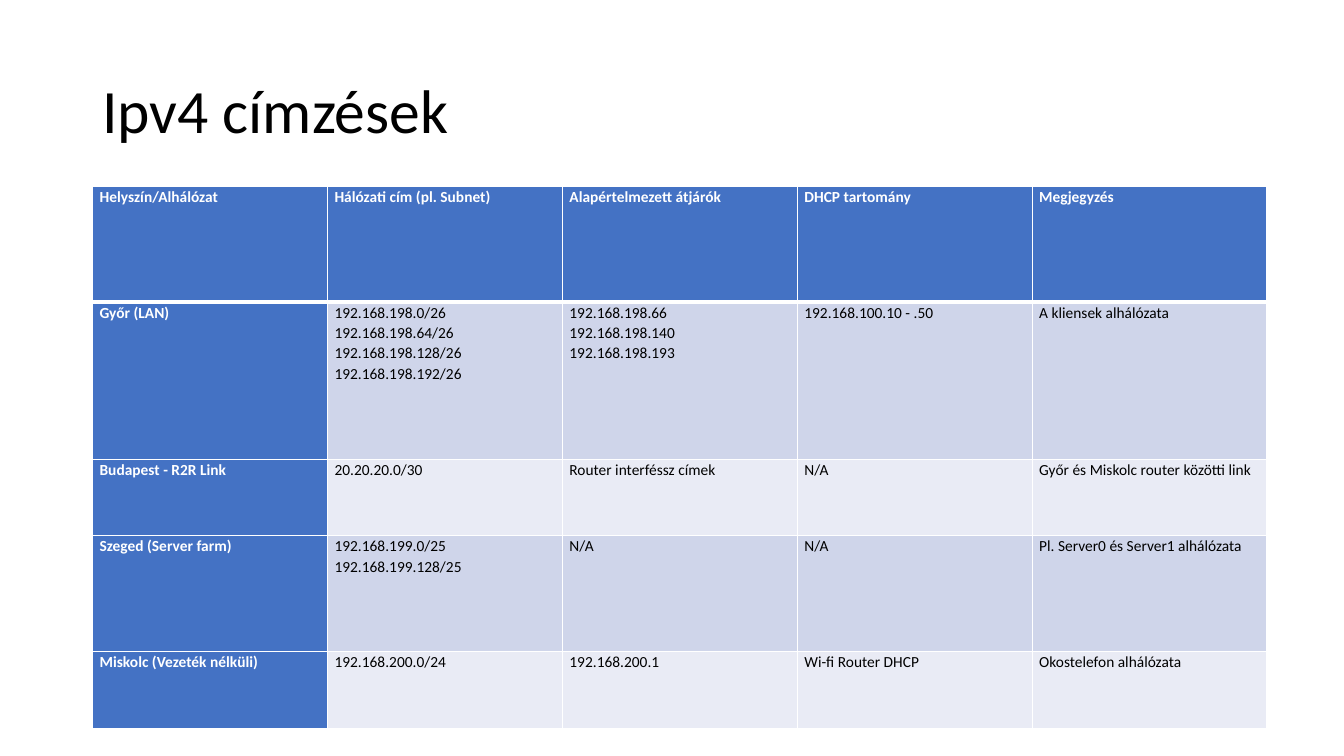
from dataclasses import dataclass

import lxml.etree
import pptx
import pptx.dml.color
import pptx.enum.text
import pptx.oxml.ns
import pptx.table
import pptx.text.text
import pptx.util

Cm = pptx.util.Cm
Pt = pptx.util.Pt
RGBColor = pptx.dml.color.RGBColor

WHITE = RGBColor(0xFF, 0xFF, 0xFF)
BLACK = RGBColor(0x00, 0x00, 0x00)
BLUE = RGBColor(0x44, 0x72, 0xC4)
BANDS = (RGBColor(0xCF, 0xD5, 0xEA), RGBColor(0xE9, 0xEB, 0xF5))

FONT = "Calibri"
LEFT = Cm(2.33)
COLUMN_WIDTH = Cm(5.92)
THIN, THICK = Pt(1), Pt(3)
CELL_FORMAT = {
    "margin_left": Cm(0.18),
    "margin_right": Cm(0.18),
    "margin_top": Cm(0),
    "margin_bottom": Cm(0),
    "vertical_anchor": pptx.enum.text.MSO_ANCHOR.TOP,
}


@dataclass
class SubnetRow:
    height: float
    texts: tuple[str, ...]


ROWS = (
    SubnetRow(2.92, ("Helyszín/Alhálózat", "Hálózati cím (pl. Subnet)",
                     "Alapértelmezett átjárók", "DHCP tartomány", "Megjegyzés")),
    SubnetRow(3.96, ("Győr (LAN)",
                     "192.168.198.0/26\n192.168.198.64/26\n192.168.198.128/26\n192.168.198.192/26",
                     "192.168.198.66\n192.168.198.140\n192.168.198.193",
                     "192.168.100.10 - .50", "A kliensek alhálózata")),
    SubnetRow(1.93, ("Budapest - R2R Link", "20.20.20.0/30", "Router interféssz címek",
                     "N/A", "Győr és Miskolc router közötti link")),
    SubnetRow(2.92, ("Szeged (Server farm)", "192.168.199.0/25\n192.168.199.128/25",
                     "N/A", "N/A", "Pl. Server0 és Server1 alhálózata")),
    SubnetRow(1.93, ("Miskolc (Vezeték nélküli)", "192.168.200.0/24", "192.168.200.1",
                     "Wi-fi Router DHCP", "Okostelefon alhálózata")),
)


def write_text(frame: pptx.text.text.TextFrame, text: str, size: float,
               color: RGBColor, bold: bool, spacing: float) -> None:
    frame.text = text
    font_format = {"name": FONT, "size": Pt(size), "bold": bold}
    for para in frame.paragraphs:
        para.line_spacing = spacing
        for span in para.runs:
            for name, value in font_format.items():
                setattr(span.font, name, value)
            span.font.color.rgb = color


def add_borders(cell: pptx.table._Cell, widths: dict[str, int]) -> None:
    """Draw white borders; call before filling, as the schema puts lines first."""
    properties = cell._tc.get_or_add_tcPr()
    qn = pptx.oxml.ns.qn
    for side, width in widths.items():
        line = lxml.etree.SubElement(properties, qn(f"a:ln{side}"), w=str(int(width)))
        fill = lxml.etree.SubElement(line, qn("a:solidFill"))
        lxml.etree.SubElement(fill, qn("a:srgbClr"), val=str(WHITE))


def add_title(page: pptx.slide.Slide, text: str) -> None:
    box = page.shapes.add_textbox(LEFT, Cm(1.01), Cm(29.21), Cm(3.68))
    box.text_frame.word_wrap = True
    box.text_frame.vertical_anchor = pptx.enum.text.MSO_ANCHOR.MIDDLE
    write_text(box.text_frame, text, 44, BLACK, False, 0.9)


def add_subnet_table(page: pptx.slide.Slide, rows: tuple[SubnetRow, ...]) -> None:
    column_count = len(rows[0].texts)
    height = Cm(sum(row.height for row in rows))
    table = page.shapes.add_table(len(rows), column_count, LEFT, Cm(4.69),
                                  COLUMN_WIDTH * column_count, height).table
    for column in table.columns:
        column.width = COLUMN_WIDTH
    for row_index, row in enumerate(rows):
        table.rows[row_index].height = Cm(row.height)
        for column_index, text in enumerate(row.texts):
            cell = table.cell(row_index, column_index)
            for name, value in CELL_FORMAT.items():
                setattr(cell, name, value)
            add_borders(cell, {"L": THIN, "R": THIN,
                               "T": THICK if row_index == 1 else THIN,
                               "B": THICK if row_index == 0 else THIN})
            heading = row_index == 0 or column_index == 0
            cell.fill.solid()
            cell.fill.fore_color.rgb = BLUE if heading else BANDS[(row_index - 1) % 2]
            write_text(cell.text_frame, text, 11, WHITE if heading else BLACK, heading, 1.07)


def main() -> None:
    deck = pptx.Presentation()
    deck.slide_width, deck.slide_height = Cm(33.87), Cm(19.05)
    page = deck.slides.add_slide(deck.slide_layouts[6])
    add_title(page, "Ipv4 címzések")
    add_subnet_table(page, ROWS)
    deck.save("out.pptx")


if __name__ == "__main__":
    main()
